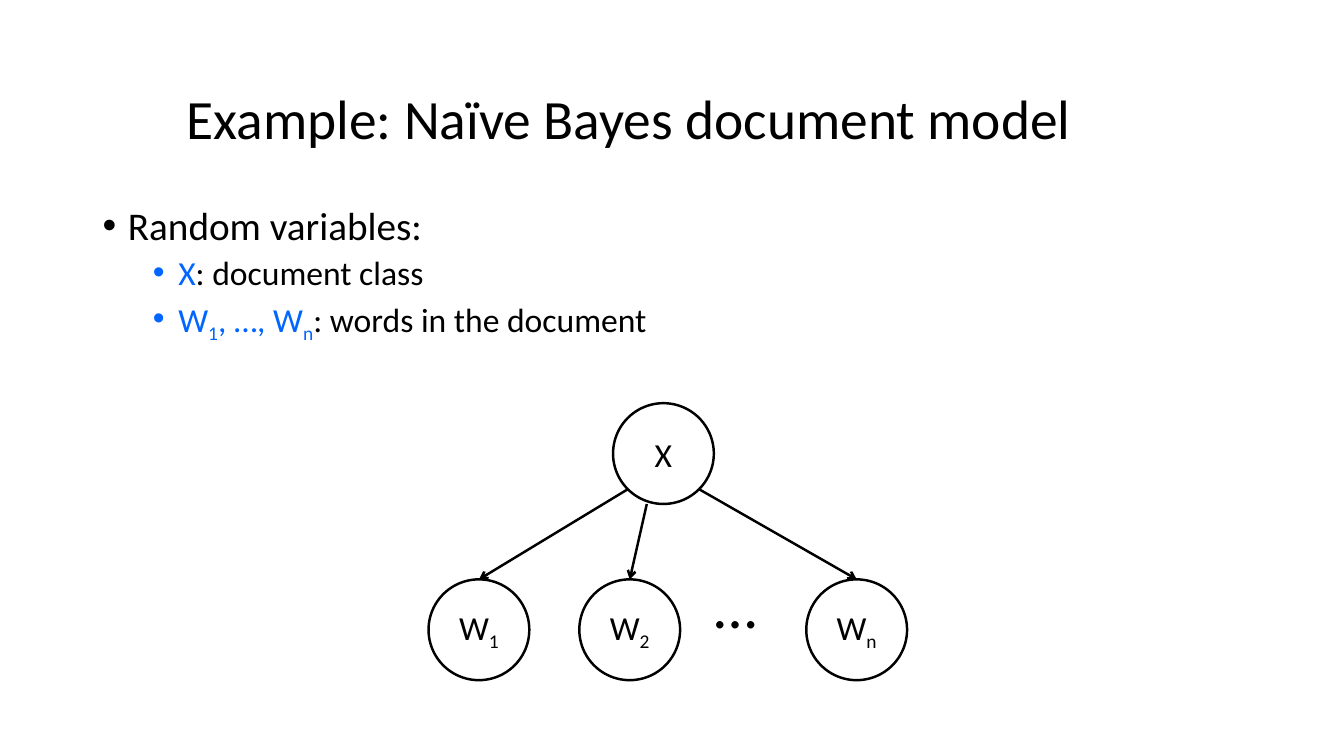
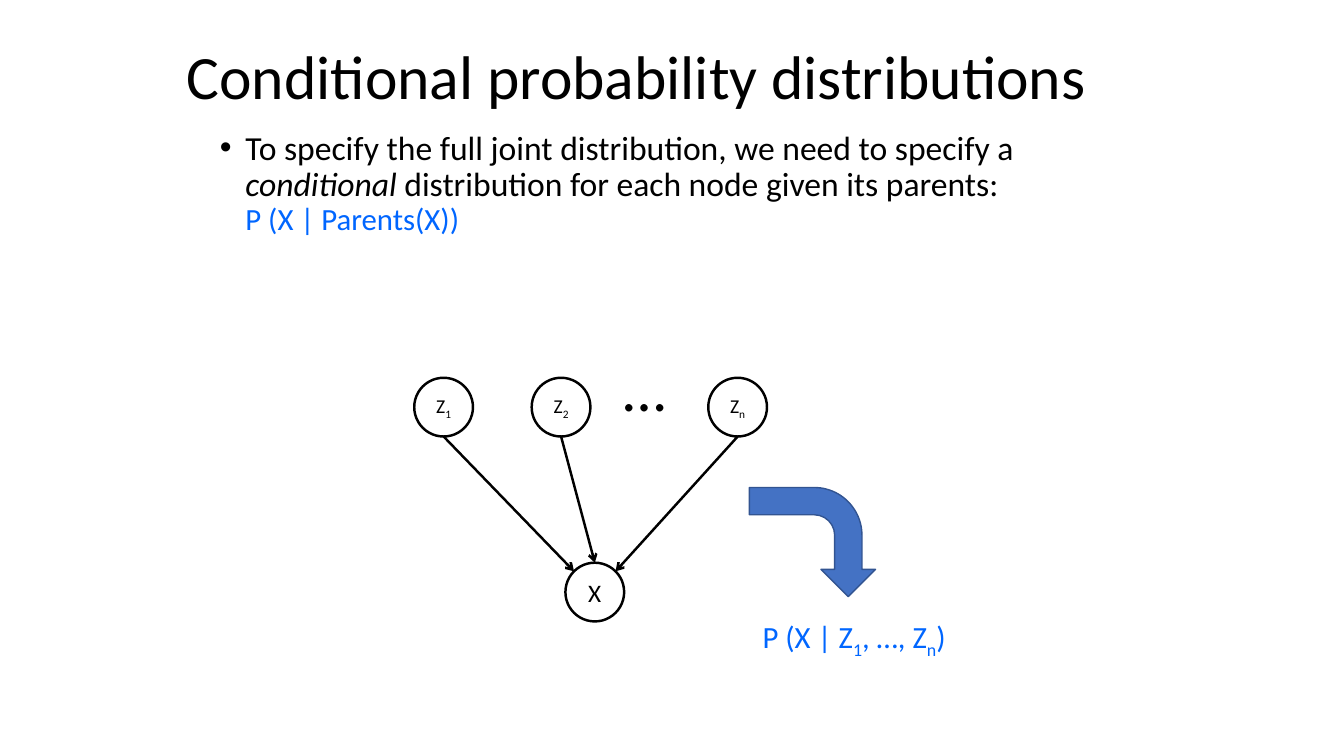
from dataclasses import dataclass
from math import sqrt

from lxml import etree
from pptx import Presentation
from pptx.dml.color import RGBColor
from pptx.enum.shapes import MSO_CONNECTOR, MSO_SHAPE
from pptx.enum.text import MSO_ANCHOR, MSO_AUTO_SIZE, PP_ALIGN
from pptx.oxml.ns import qn
from pptx.util import Cm, Pt

LEFT, MID = PP_ALIGN.LEFT, PP_ALIGN.CENTER
CENTER = MSO_ANCHOR.MIDDLE
FIXED = MSO_AUTO_SIZE.NONE
LINE = MSO_CONNECTOR.STRAIGHT
OVAL, BENT = MSO_SHAPE.OVAL, MSO_SHAPE.BENT_ARROW


@dataclass
class Theme:
    font: str = "Calibri"
    black: RGBColor = RGBColor(0x00, 0x00, 0x00)
    blue: RGBColor = RGBColor(0x00, 0x66, 0xFF)
    fill: RGBColor = RGBColor(0x44, 0x72, 0xC4)
    edge: RGBColor = RGBColor(0x32, 0x54, 0x91)
    head: float = 44
    title: float = 39.6
    lead: float = 28
    text: float = 24
    math: float = 22
    node: float = 18
    small: float = 14
    line: float = 1.75


theme = Theme()


def write(para, text, size, ink=theme.black, sub=False, slant=False):
    run = para.add_run()
    run.text = text
    run.font.name = theme.font
    run.font.size = Pt(size)
    run.font.color.rgb = ink
    if slant:
        run.font.italic = True
    if sub:
        run._r.get_or_add_rPr().set("baseline", "-25000")


def bullet(para, level):
    para.level = level
    para.line_spacing = 0.9
    para.space_before = Pt(5 if level else 10)
    props = para._p.get_or_add_pPr()
    props.set("marL", str(Cm(0.64 + 1.27 * level)))
    props.set("indent", str(-Cm(0.64)))
    etree.SubElement(props, qn("a:buChar")).set("char", "•")
    return para


deck = Presentation()
deck.slide_width, deck.slide_height = Cm(33.87), Cm(19.05)

pages = [
    ("Example: Naïve Bayes document model", theme.title, 1.47, (2.33, 5.08, 29.21, 12.09)),
    ("Conditional probability distributions", theme.head, 0.42, (5.29, 3.18, 23.28, 6.77)),
]
slides, lists = [], []
for name, size, top, spot in pages:
    slide = deck.slides.add_slide(deck.slide_layouts[1])
    title, body = slide.placeholders
    for holder, place in ((title, (4.45, top, 24.98, 3.18)), (body, spot)):
        holder.left, holder.top, holder.width, holder.height = map(Cm, place)
        holder.text_frame.auto_size = FIXED
    title.text_frame.vertical_anchor = CENTER
    para = title.text_frame.paragraphs[0]
    para.alignment = LEFT
    para.line_spacing = 0.9
    write(para, name, size)
    slides.append(slide)
    lists.append(body.text_frame)

model, table = slides

para = bullet(lists[0].paragraphs[0], 0)
write(para, "Random variables:", theme.lead)
para = bullet(lists[0].add_paragraph(), 1)
write(para, "X", theme.text, theme.blue)
write(para, ": document class", theme.text)
para = bullet(lists[0].add_paragraph(), 1)
for text, sub in (("W", False), ("1", True), (", …, W", False), ("n", True)):
    write(para, text, theme.text, theme.blue, sub)
write(para, ": words in the document", theme.text)

para = bullet(lists[1].paragraphs[0], 0)
write(para, "To specify the full joint distribution, we need to specify a ", theme.text)
write(para, "conditional", theme.text, slant=True)
write(para, " distribution for each node given its parents: ", theme.text)
para.add_line_break()
write(para, "P (X | Parents(X))", theme.math, theme.blue)

graphs = [
    (model, "W", theme.text, theme.text, 2.54, (10.8, 14.6, 20.32), 14.6,
     (15.45, 10.16), (17.75, 14.17, 3.56, 2.13)),
    (table, "Z", theme.small, theme.node, 1.48, (10.44, 13.4, 17.85), 9.52,
     (14.25, 14.18), (15.47, 8.69, 1.6, 2.13)),
]
for slide, sign, size, big, span, lefts, top, hub, spot in graphs:
    shapes = slide.shapes
    nodes = [(left, top, sign, mark, size) for left, mark in zip(lefts, "12n")]
    nodes.append((*hub, "X", "", big))
    ovals = []
    for x, y, text, mark, points in nodes:
        oval = shapes.add_shape(OVAL, Cm(x), Cm(y), Cm(span), Cm(span))
        oval.shadow.inherit = False
        oval.fill.background()
        oval.line.color.rgb = theme.black
        oval.line.width = Pt(theme.line)
        frame = oval.text_frame
        frame.word_wrap = False
        frame.vertical_anchor = CENTER
        para = frame.paragraphs[0]
        para.alignment = MID
        write(para, text, points)
        if mark:
            write(para, mark, points, sub=True)
        ovals.append(oval)

    half = span / 2
    reach = half / sqrt(2)
    core = hub[0] + half
    down = hub[1] < top
    for left, oval, side in zip(lefts, ovals, (-1, 0, 1)):
        if down:
            start = (core + side * reach, hub[1] + half + reach) if side else (16.3, hub[1] + span)
            stop = left + half, top
        else:
            start = left + half, top + span
            stop = core + side * reach, hub[1] + (half - reach if side else 0)
        arrow = shapes.add_connector(LINE, *map(Cm, start + stop))
        if down:
            arrow.end_connect(oval, 0)
        elif side == 0:
            arrow.end_connect(ovals[-1], 0)
        arrow.line.color.rgb = theme.black
        arrow.line.width = Pt(theme.line)
        etree.SubElement(arrow.line._get_or_add_ln(), qn("a:tailEnd")).set("type", "arrow")
        etree.SubElement(arrow._element.spPr, qn("a:effectLst"))

    dots = shapes.add_textbox(*map(Cm, spot)).text_frame
    dots.word_wrap = down
    write(dots.paragraphs[0], "…", theme.head)

bend = table.shapes.add_shape(BENT, Cm(19.1), Cm(12.07), Cm(2.75), Cm(3.18))
bend.rotation = 90
bend.shadow.inherit = False
bend.fill.solid()
bend.fill.fore_color.rgb = theme.fill
bend.line.color.rgb = theme.edge
bend.line.width = Pt(1)

note = table.shapes.add_textbox(Cm(18.92), Cm(15.45), Cm(5.21), Cm(1.2)).text_frame
note.word_wrap = False
para = note.paragraphs[0]
para.alignment = MID
for text, sub in (("P (X | Z", False), ("1", True), (", …, Z", False), ("n", True), (")", False)):
    write(para, text, theme.math, theme.blue, sub)

deck.save("out.pptx")
